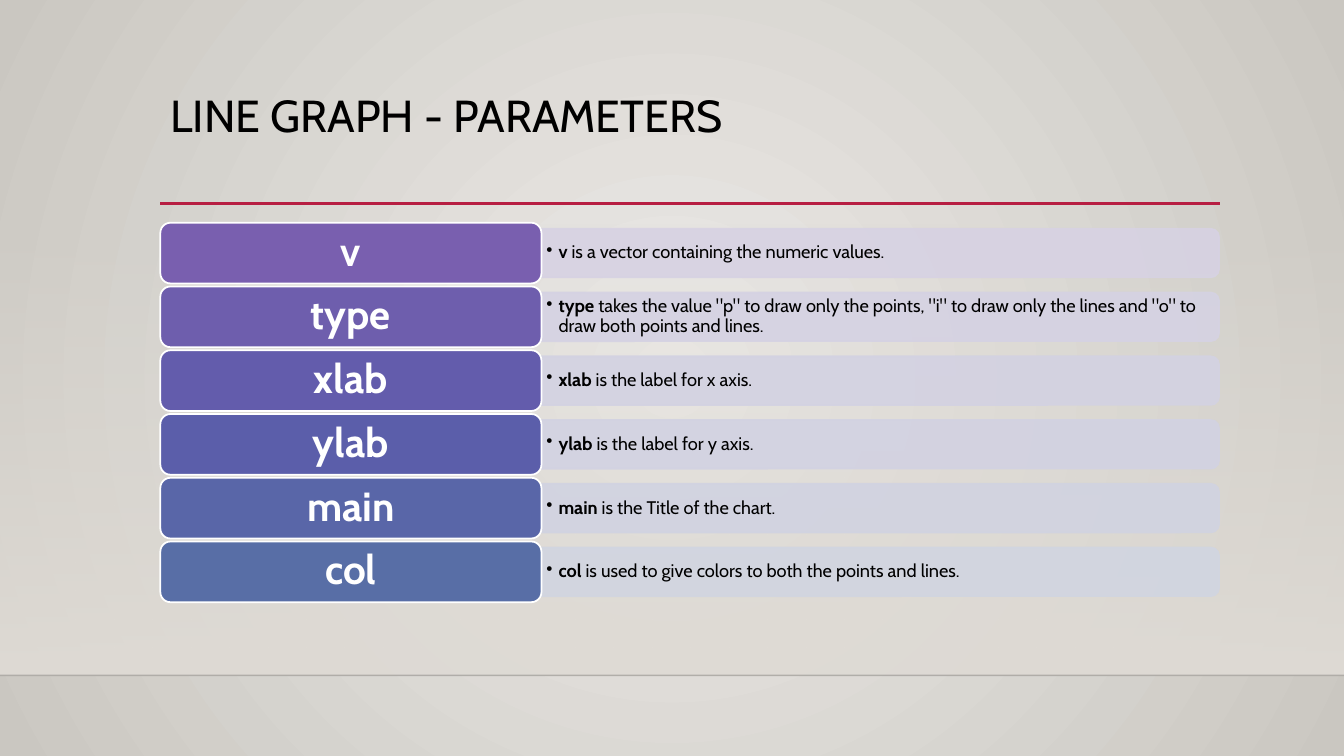
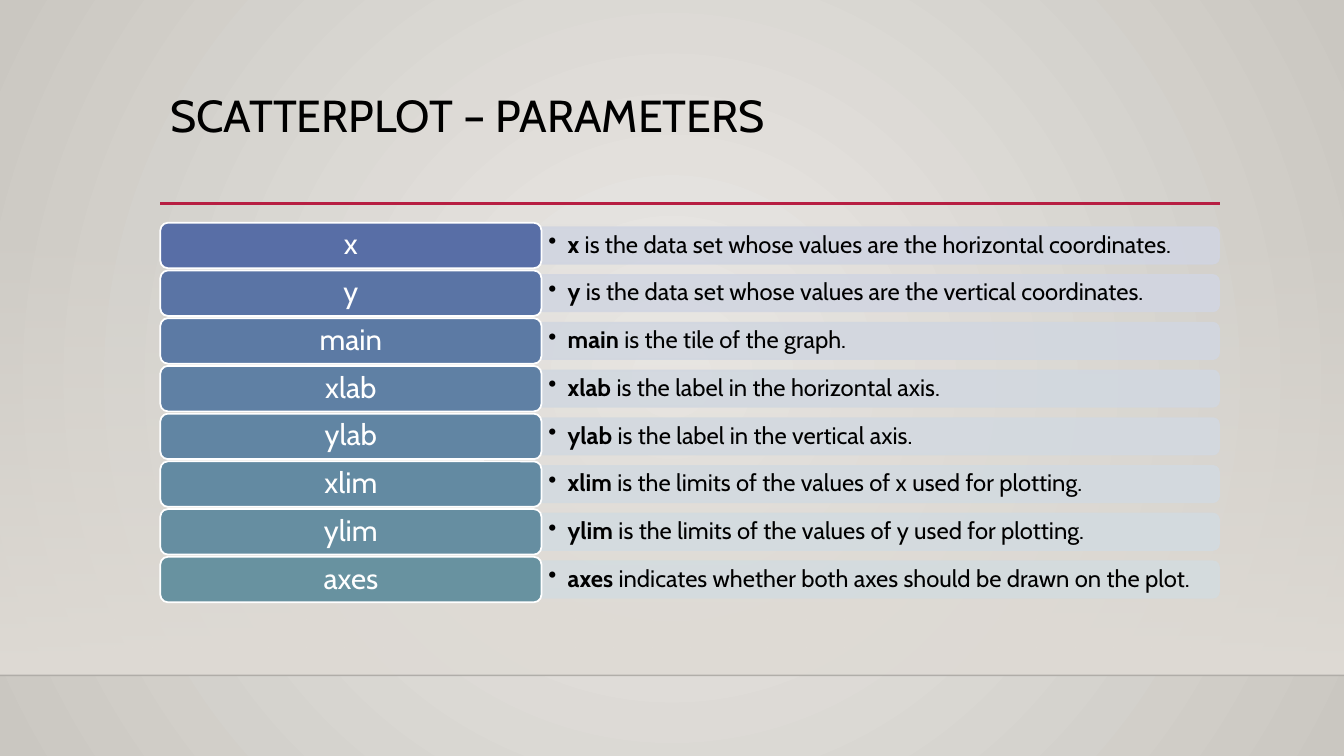
from lxml.etree import SubElement
from pptx import Presentation
from pptx.dml.color import RGBColor
from pptx.enum.shapes import MSO_CONNECTOR, MSO_SHAPE
from pptx.enum.text import MSO_ANCHOR, PP_ALIGN
from pptx.oxml.ns import qn
from pptx.util import Inches, Pt

FONT = "Cabin"
BLACK = RGBColor(0x00, 0x00, 0x00)
WHITE = RGBColor(0xFF, 0xFF, 0xFF)
ACCENT = RGBColor(0xB7, 0x1E, 0x42)
BACKGROUND_CENTER = RGBColor(0xEC, 0xEA, 0xE7)
BACKGROUND_EDGE = RGBColor(0xCA, 0xC7, 0xC1)
BAND = RGBColor(0xDF, 0xDB, 0xD5)

LEFT = 1.59
RIGHT = 12.1
ROWS_TOP = 2.21
ROWS_HEIGHT = 3.765
LABEL_WIDTH = 3.78
BAR_LEFT = LEFT + LABEL_WIDTH
BAR_WIDTH = 6.72
GAP_RATIO = 0.05
BAR_RATIO = 0.8

# Each line: left, right, height on the slide, colour, width, opacity
RULES = [
    (0, 13.33, 6.7, BLACK, 1, 20),
    (LEFT, RIGHT, 2.02, ACCENT, 2.5, 100),
]

# Each row: parameter, description, label colour, bar colour
SLIDES = [
    {
        "title": "LINE GRAPH - PARAMETERS",
        "label_size": 29, "label_bold": True, "label_margin": 0.15,
        "text_size": 13, "indent": 0.12, "text_margin": 0.05,
        "rows": [
            ("v", " is a vector containing the numeric values.", "795FAF", "D7D2E3"),
            ("type", ' takes the value "p" to draw only the points, "i" to draw only '
                     'the lines and "o" to draw both points and lines.', "6E5EAD", "D5D2E3"),
            ("xlab", " is the label for x axis.", "635CAC", "D3D2E2"),
            ("ylab", " is the label for y axis.", "5B5EAA", "D2D2E2"),
            ("main", " is the Title of the chart.", "5966A8", "D1D3E1"),
            ("col", " is used to give colors to both the points and lines.", "586EA6", "D1D5E1"),
        ],
    },
    {
        "title": "SCATTERPLOT – PARAMETERS",
        "label_size": 21, "label_bold": False, "label_margin": 0.11,
        "text_size": 17, "indent": 0.19, "text_margin": 0.07,
        "rows": [
            ("x", " is the data set whose values are the horizontal coordinates.", "586EA6", "D1D5E1"),
            ("y", " is the data set whose values are the vertical coordinates.", "5A74A5", "D2D6E1"),
            ("main", " is the tile of the graph.", "5C7AA4", "D2D7E0"),
            ("xlab", " is the label in the horizontal axis.", "5F80A4", "D2D8E0"),
            ("ylab", " is the label in the vertical axis.", "6185A3", "D3D9E0"),
            ("xlim", " is the limits of the values of x used for plotting.", "638AA2", "D3DAE0"),
            ("ylim", " is the limits of the values of y used for plotting.", "668EA1", "D3DBE0"),
            ("axes", " indicates whether both axes should be drawn on the plot.", "6892A0", "D4DCDF"),
        ],
    },
]


def set_opacity(colors, percent):
    for color in colors:
        SubElement(color, qn("a:alpha")).set("val", str(percent * 1000))


def add_run(paragraph, text, size, color, bold=False):
    paragraph.line_spacing = 0.9
    run = paragraph.add_run()
    run.text = text
    run.font.name = FONT
    run.font.size = Pt(size)
    run.font.bold = bold
    run.font.color.rgb = color


presentation = Presentation()
presentation.slide_width = Inches(13.33)
presentation.slide_height = Inches(7.5)

master = presentation.slide_master
background = master.background.fill
background.gradient()
for stop, color in zip(background.gradient_stops, (BACKGROUND_CENTER, BACKGROUND_EDGE)):
    stop.color.rgb = color
linear = master.element.find(".//" + qn("a:lin"))
circle = linear.makeelement(qn("a:path"), {"path": "circle"})
SubElement(circle, qn("a:fillToRect"), {side: "50000" for side in "ltrb"})
linear.getparent().replace(linear, circle)

for content in SLIDES:
    slide = presentation.slides.add_slide(presentation.slide_layouts[6])
    shapes = slide.shapes

    band = shapes.add_shape(MSO_SHAPE.RECTANGLE, 0, Inches(ROWS_TOP), Inches(13.33), Inches(4.49))
    band.shadow.inherit = False
    band.line.fill.background()
    band.fill.gradient()
    band.fill.gradient_angle = 270
    for stop in band.fill.gradient_stops:
        stop.color.rgb = BAND
    set_opacity(list(band.element.spPr.iter(qn("a:srgbClr")))[:1], 0)

    for left, right, height, color, width, opacity in RULES:
        rule = shapes.add_connector(
            MSO_CONNECTOR.STRAIGHT, Inches(left), Inches(height), Inches(right), Inches(height))
        rule.line.color.rgb = color
        rule.line.width = Pt(width)
        set_opacity(rule.element.spPr.iter(qn("a:srgbClr")), opacity)
        SubElement(rule.element.spPr, qn("a:effectLst"))

    title = shapes.add_textbox(Inches(LEFT), Inches(0.88), Inches(10.5), Inches(1.15))
    title.text_frame.word_wrap = True
    add_run(title.text_frame.paragraphs[0], content["title"], 32, BLACK)

    count = len(content["rows"])
    label_height = ROWS_HEIGHT / (count + (count - 1) * GAP_RATIO)
    bar_height = label_height * BAR_RATIO
    for index, (name, description, label_color, bar_color) in enumerate(content["rows"]):
        top = ROWS_TOP + index * label_height * (1 + GAP_RATIO)
        middle = top + label_height / 2

        # The bar is turned a quarter so that its two round corners face right
        bar = shapes.add_shape(
            MSO_SHAPE.ROUND_2_SAME_RECTANGLE,
            Inches(BAR_LEFT + (BAR_WIDTH - bar_height) / 2), Inches(middle - BAR_WIDTH / 2),
            Inches(bar_height), Inches(BAR_WIDTH))
        bar.rotation = 90
        bar.shadow.inherit = False
        bar.fill.solid()
        bar.fill.fore_color.rgb = RGBColor.from_string(bar_color)
        bar.line.color.rgb = RGBColor.from_string(bar_color)
        bar.line.width = Pt(1.25)
        set_opacity(bar.element.spPr.iter(qn("a:srgbClr")), 90)

        text_box = shapes.add_textbox(
            Inches(BAR_LEFT), Inches(middle - bar_height / 2), Inches(6.7), Inches(bar_height))
        frame = text_box.text_frame
        frame.word_wrap = True
        frame.vertical_anchor = MSO_ANCHOR.MIDDLE
        frame.margin_left = frame.margin_right = Inches(content["text_margin"])
        frame.margin_top = frame.margin_bottom = Inches(0.03)
        paragraph = frame.paragraphs[0]
        add_run(paragraph, name, content["text_size"], BLACK, bold=True)
        add_run(paragraph, description, content["text_size"], BLACK)
        properties = paragraph._p.get_or_add_pPr()
        properties.set("marL", str(Inches(content["indent"])))
        properties.set("indent", str(-Inches(content["indent"])))
        SubElement(properties, qn("a:buChar")).set("char", "•")

        label = shapes.add_shape(
            MSO_SHAPE.ROUNDED_RECTANGLE,
            Inches(LEFT), Inches(top), Inches(LABEL_WIDTH), Inches(label_height))
        label.shadow.inherit = False
        label.fill.solid()
        label.fill.fore_color.rgb = RGBColor.from_string(label_color)
        label.line.color.rgb = WHITE
        label.line.width = Pt(1.25)
        frame = label.text_frame
        frame.word_wrap = True
        frame.vertical_anchor = MSO_ANCHOR.MIDDLE
        frame.margin_left = frame.margin_right = Inches(content["label_margin"])
        frame.margin_top = frame.margin_bottom = Inches(0.05)
        paragraph = frame.paragraphs[0]
        paragraph.alignment = PP_ALIGN.CENTER
        add_run(paragraph, name, content["label_size"], WHITE, content["label_bold"])

presentation.save("out.pptx")
